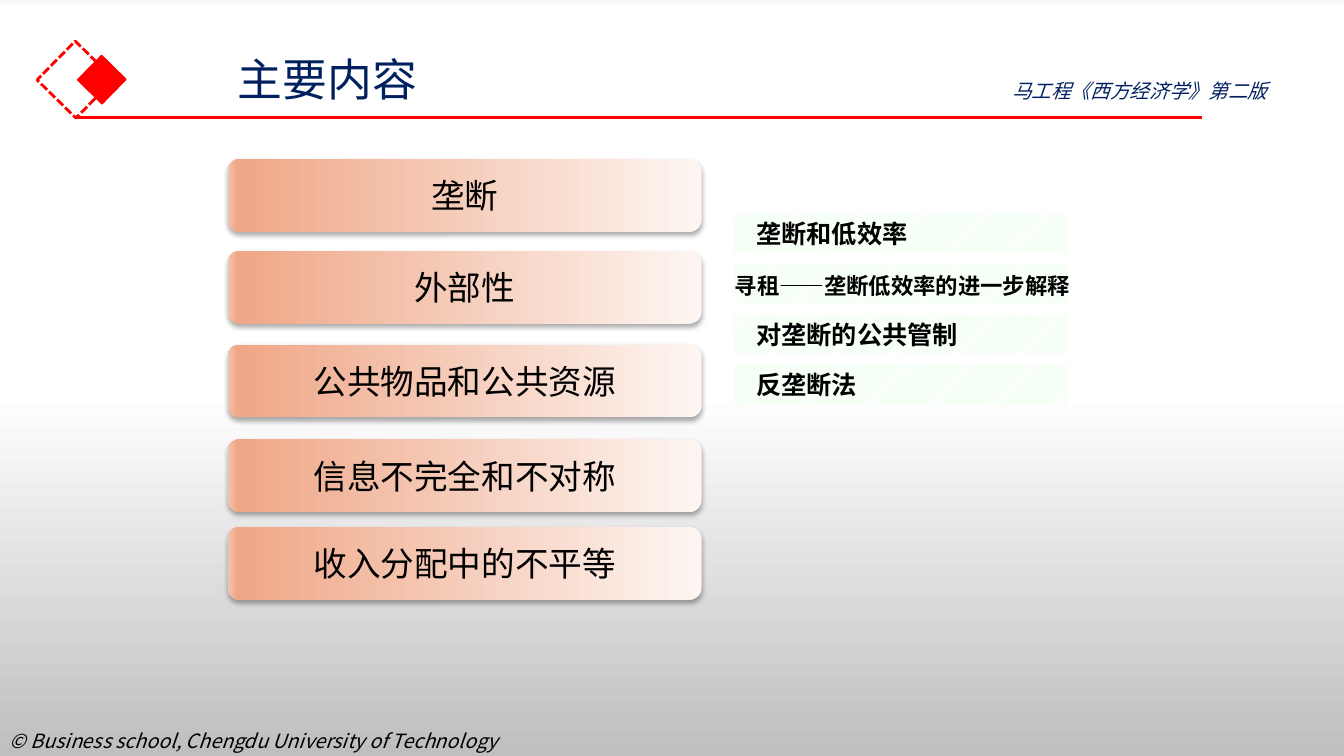
from lxml import etree
from pptx import Presentation
from pptx.dml.color import RGBColor
from pptx.enum.dml import MSO_LINE, MSO_PATTERN
from pptx.enum.shapes import MSO_CONNECTOR, MSO_SHAPE
from pptx.enum.text import MSO_ANCHOR, MSO_AUTO_SIZE, PP_ALIGN
from pptx.oxml.ns import qn
from pptx.util import Inches, Pt

RECT, ROUND = MSO_SHAPE.RECTANGLE, MSO_SHAPE.ROUNDED_RECTANGLE
STRAIGHT = MSO_CONNECTOR.STRAIGHT
DASH = MSO_LINE.SQUARE_DOT
HATCH = MSO_PATTERN.LIGHT_UPWARD_DIAGONAL
MIDDLE = MSO_ANCHOR.MIDDLE
GROW = MSO_AUTO_SIZE.SHAPE_TO_FIT_TEXT
CENTER, JUSTIFY = PP_ALIGN.CENTER, PP_ALIGN.JUSTIFY
SANS, LATIN = "Noto Sans CJK SC", "Calibri"
RED, NAVY, BLACK = "FF0000", "002060", "000000"
PAGE = [(0, "F9F9F9"), (1, "FFFFFF"), (52, "FFFFFF"), (100, "BFBFBF")]
PEACH = [(0, "FDF5F2"), (98, "EFA787"), (100, "F4C4AF")]
TOPICS = [
    ("垄断", 1.58),
    ("外部性", 2.49),
    ("公共物品和公共资源", 3.42),
    ("信息不完全和不对称", 4.36),
    ("收入分配中的不平等", 5.23),
]
POINTS = ["垄断和低效率", "", "对垄断的公共管制", "反垄断法"]


def paint(color, value):
    """Set a colour format to a hex value."""
    color.rgb = RGBColor.from_string(value)


def blend(fill, node, stops, angle):
    """Fill with a linear gradient of the given stops."""
    fill.gradient()
    fill.gradient_angle = angle
    ramp = node.find(".//" + qn("a:gsLst"))
    for old in list(ramp):
        ramp.remove(old)
    for spot, value in stops:
        stop = etree.SubElement(ramp, qn("a:gs"), pos=str(spot * 1000))
        etree.SubElement(stop, qn("a:srgbClr"), val=value)


def write(frame, text, size, color=BLACK, font=SANS, bold=False, slant=False, align=None):
    """Put one formatted line of text in a frame."""
    frame.text = text
    line = frame.paragraphs[0]
    line.alignment = align
    for run in line.runs:
        run.font.size = Pt(size)
        run.font.name = font
        run.font.bold = bold
        run.font.italic = slant
        paint(run.font.color, color)
        etree.SubElement(run.font._element, qn("a:ea"), typeface=SANS)


def label(slide, box, text, size, **style):
    """Add a text box that grows with its text."""
    frame = slide.shapes.add_textbox(*map(Inches, box)).text_frame
    frame.word_wrap = True
    frame.auto_size = GROW
    write(frame, text, size, **style)


def block(slide, kind, box):
    """Add a plain shape without line or shadow."""
    shape = slide.shapes.add_shape(kind, *map(Inches, box))
    shape.shadow.inherit = False
    shape.line.fill.background()
    return shape


def diamond(slide, left, top, side, width, dashed):
    """Add a red tilted square, dashed or solid."""
    shape = block(slide, RECT, (left, top, side, side))
    shape.rotation = 314.5
    paint(shape.line.color, RED)
    shape.line.width = Pt(width)
    if dashed:
        shape.fill.background()
        shape.line.dash_style = DASH
    else:
        shape.fill.solid()
        paint(shape.fill.fore_color, RED)


def rule(slide, left, right, top):
    """Add the red line under the title."""
    line = slide.shapes.add_connector(STRAIGHT, *map(Inches, (left, top, right, top)))
    paint(line.line.color, RED)
    line.line.width = Pt(2.25)
    etree.SubElement(line._element.spPr, qn("a:effectLst"))


def topic(slide, text, top):
    """Add a rounded topic bar with a soft shadow."""
    bar = block(slide, ROUND, (2.26, top, 4.7, 0.72))
    blend(bar.fill, bar._element, PEACH, 180)
    glow = etree.SubElement(
        bar._element.spPr.find(qn("a:effectLst")), qn("a:outerShdw"),
        blurRad=str(Pt(3.5)), dist=str(Pt(2.2)), dir="5400000", rotWithShape="0")
    shade = etree.SubElement(glow, qn("a:srgbClr"), val=BLACK)
    etree.SubElement(shade, qn("a:alpha"), val="32000")
    bar.text_frame.vertical_anchor = MIDDLE
    write(bar.text_frame, text, 24, align=CENTER)


def point(slide, text, top):
    """Add a pale hatched strip, with text if there is any."""
    strip = block(slide, RECT, (7.28, top, 3.31, 0.39))
    strip.fill.patterned()
    strip.fill.pattern = HATCH
    paint(strip.fill.fore_color, "CCFFCC")
    paint(strip.fill.back_color, "FFFFFF")
    if text:
        frame = strip.text_frame
        frame.vertical_anchor = MIDDLE
        frame.margin_left = frame.margin_right = Inches(0.22)
        write(frame, text, 18, font=LATIN, bold=True, align=JUSTIFY)


def main():
    """Build and save the slide."""
    deck = Presentation()
    deck.slide_width, deck.slide_height = Inches(13.33), Inches(7.5)
    slide = deck.slides.add_slide(deck.slide_layouts[6])
    blend(slide.background.fill, slide._element, PAGE, 270)
    label(slide, (0, 7.18, 6.67, 0.64),
          "© Business school, Chengdu University of Technology", 14, slant=True)
    diamond(slide, 0.48, 0.52, 0.54, 2, True)
    diamond(slide, 0.84, 0.62, 0.34, 1, False)
    rule(slide, 0.75, 11.92, 1.17)
    label(slide, (2.26, 0.46, 5.28, 0.64), "主要内容", 32, color=NAVY)
    label(slide, (9.94, 0.73, 3.24, 0.34), "马工程《西方经济学》第二版", 14,
          color=NAVY, slant=True)
    for text, top in TOPICS:
        topic(slide, text, top)
    for row, text in enumerate(POINTS):
        point(slide, text, 2.12 + 0.5 * row)
    label(slide, (7.19, 2.65, 4.49, 0.37), "寻租——垄断低效率的进一步解释", 16,
          font=LATIN, bold=True)
    deck.save("out.pptx")


if __name__ == "__main__":
    main()
